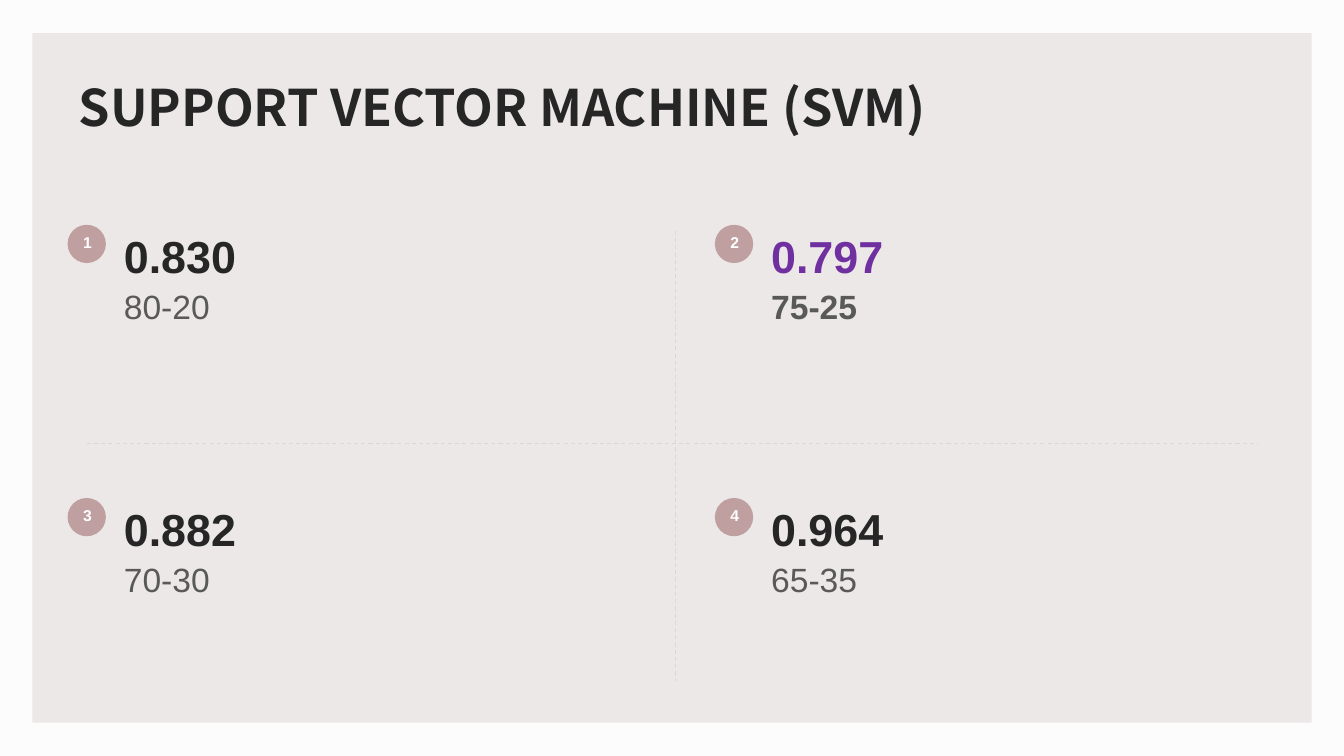
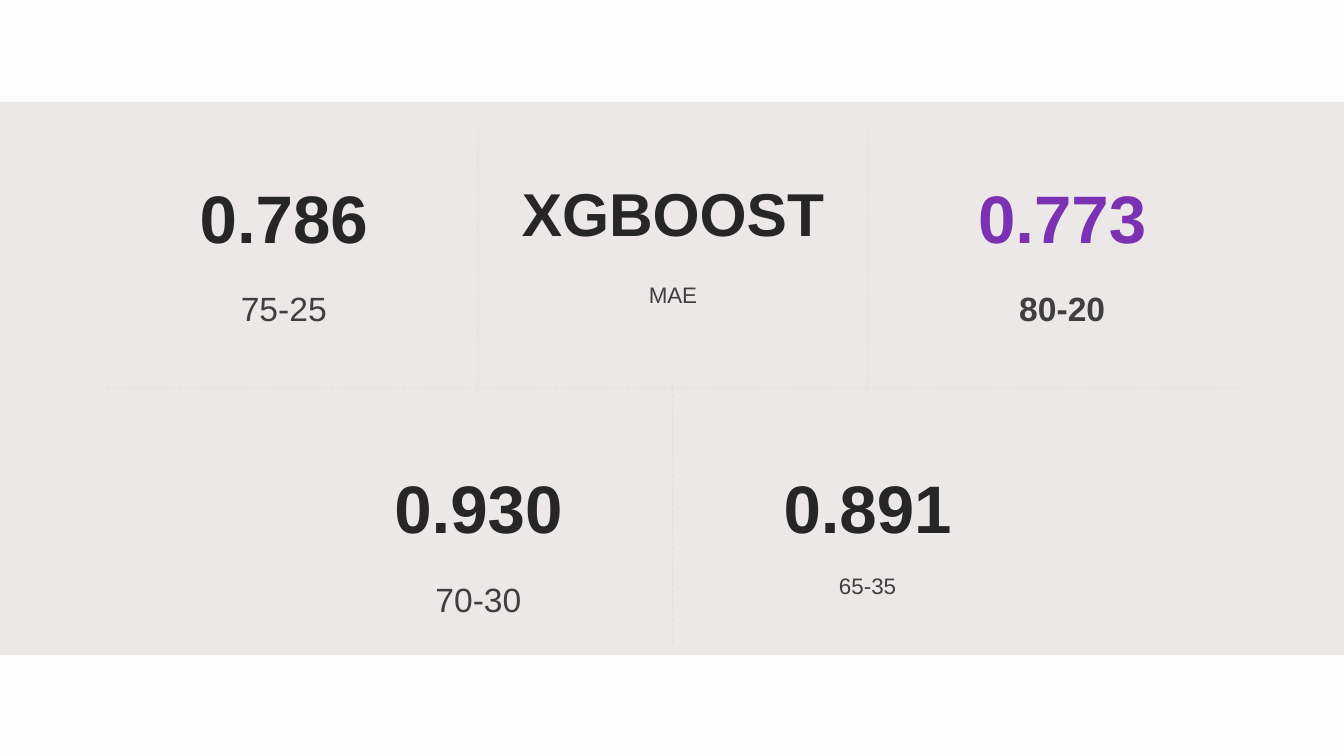
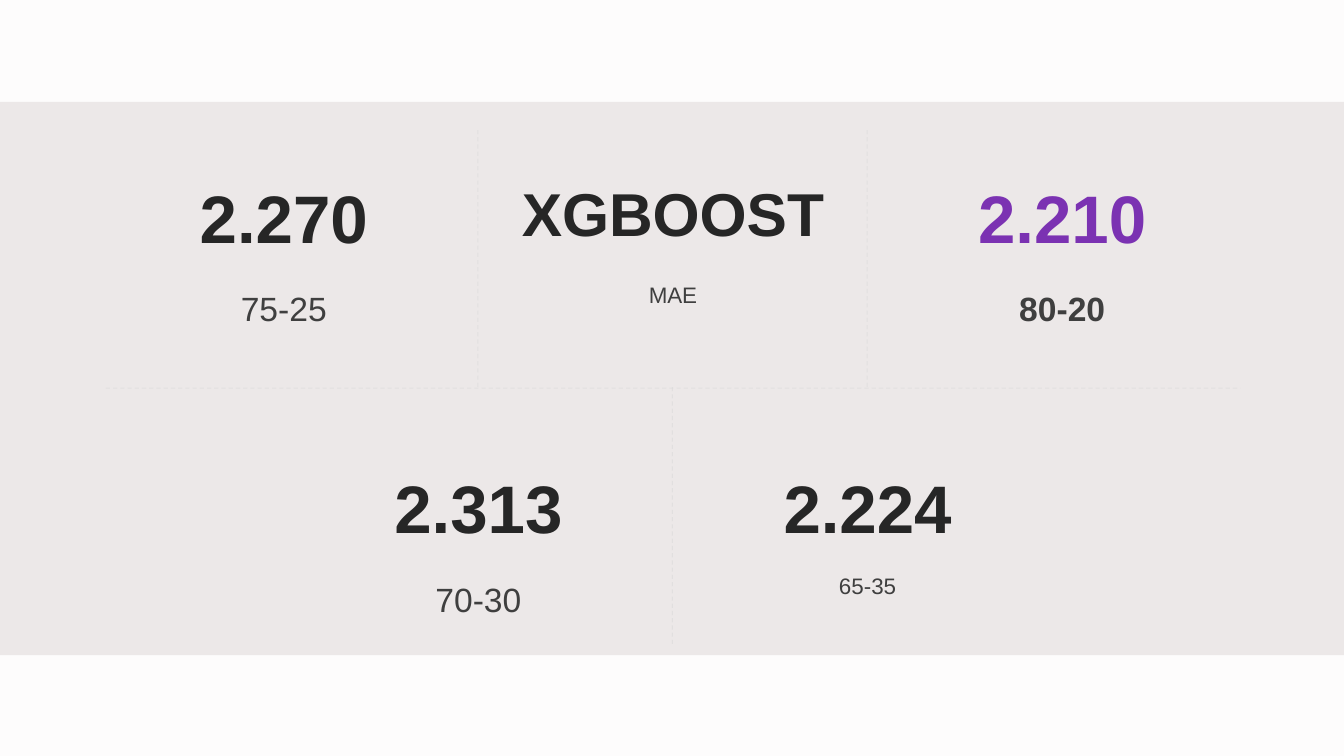
"""Build three slides that compare model errors across train-test splits."""
import pptx
import pptx.dml.color
import pptx.enum.dml
import pptx.enum.shapes
import pptx.enum.text
import pptx.oxml.ns
import pptx.util
import lxml.etree

Inches = pptx.util.Inches
Shape = pptx.enum.shapes.MSO_SHAPE
Align = pptx.enum.text.PP_ALIGN
Anchor = pptx.enum.text.MSO_ANCHOR


def colour(value):
    return pptx.dml.color.RGBColor.from_string(value)


class SlideBuilder:
    BACKGROUND = "FDFCFC"
    PANEL = "ECE8E8"
    DIVIDER = "D8D8D8"
    BADGE = "BF9F9F"
    WHITE = "FFFFFF"
    INK = "262626"
    BODY_FONT = "Arial"
    TITLE_FONT = "Noto Sans CJK SC"

    def __init__(self):
        self.deck = pptx.Presentation()
        self.deck.slide_width = Inches(13.33)
        self.deck.slide_height = Inches(7.5)
        self.page = None

    def new_page(self, left, top, width, height):
        self.page = self.deck.slides.add_slide(self.deck.slide_layouts[6])
        self.page.background.fill.solid()
        self.page.background.fill.fore_color.rgb = colour(self.BACKGROUND)
        self.shape(Shape.RECTANGLE, left, top, width, height, self.PANEL)

    def shape(self, kind, left, top, width, height, fill):
        shape = self.page.shapes.add_shape(
            kind, Inches(left), Inches(top), Inches(width), Inches(height))
        shape.shadow.inherit = False
        shape.fill.solid()
        shape.fill.fore_color.rgb = colour(fill)
        shape.line.fill.background()
        return shape

    def fill_text(self, box, words, size, ink, bold=False, align=Align.LEFT,
                  spacing=1.0, anchor=Anchor.TOP, font=BODY_FONT):
        frame = box.text_frame
        frame.word_wrap = True
        frame.vertical_anchor = anchor
        para = frame.paragraphs[0]
        para.alignment = align
        para.line_spacing = spacing
        span = para.add_run()
        span.text = words
        span.font.name = font
        span.font.size = pptx.util.Pt(size)
        span.font.bold = bold
        span.font.color.rgb = colour(ink)

    def text(self, shapes, left, top, width, height, words, size, ink, **style):
        box = shapes.add_textbox(Inches(left), Inches(top), Inches(width), Inches(height))
        self.fill_text(box, words, size, ink, **style)
        return box

    def title(self, words):
        box = self.text(self.page.shapes, 0.67, 0.67, 12, 0.77, words, 36, self.INK,
                        bold=True, anchor=Anchor.MIDDLE, font=self.TITLE_FONT)
        frame = box.text_frame
        frame.margin_left, frame.margin_right = Inches(0.11), Inches(0.08)
        frame.margin_top = frame.margin_bottom = Inches(0.04)

    def divider(self, start_x, start_y, end_x, end_y, opacity=100):
        line = self.page.shapes.add_connector(
            pptx.enum.shapes.MSO_CONNECTOR.STRAIGHT,
            Inches(start_x), Inches(start_y), Inches(end_x), Inches(end_y))
        line.line.width = pptx.util.Pt(0.75)
        line.line.color.rgb = colour(self.DIVIDER)
        line.line.dash_style = pptx.enum.dml.MSO_LINE.DASH
        name = pptx.oxml.ns.qn
        properties = line._element.spPr
        if opacity < 100:
            shade = properties.find(".//" + name("a:srgbClr"))
            lxml.etree.SubElement(shade, name("a:alpha")).set("val", str(opacity * 1000))
        lxml.etree.SubElement(properties, name("a:effectLst"))

    def numbered_score(self, left, top, number, score, split, best=False):
        shapes = self.page.shapes
        self.text(shapes, left + 0.46, top + 0.36, 5.11, 1.54, split, 24, "595959",
                  bold=best, spacing=1.5)
        self.text(shapes, left + 0.46, top - 0.01, 5.11, 0.44, score, 32,
                  "7030A0" if best else self.INK, bold=True)
        badge = self.shape(Shape.OVAL, left, top, 0.38, 0.38, self.BADGE)
        self.fill_text(badge, str(number), 11.2, self.WHITE, bold=True,
                       align=Align.CENTER, spacing=0.8, anchor=Anchor.MIDDLE)

    def centred_score(self, left, top, heading, caption, heading_size=48,
                      caption_size=24, best=False):
        shapes = self.page.shapes.add_group_shape().shapes
        self.text(shapes, left, top, 3.57, 0.91, heading, heading_size,
                  "7B32B2" if best else self.INK, bold=True, align=Align.CENTER)
        self.text(shapes, left, top + 0.91, 3.57, 0.5, caption, caption_size, "3F3F3F",
                  bold=best, align=Align.CENTER, spacing=1.5)

    def svm_page(self, title, scores):
        self.new_page(0.32, 0.33, 12.69, 6.84)
        self.divider(0.86, 4.4, 12.47, 4.4)
        self.divider(6.7, 2.29, 6.7, 6.76)
        for index, (score, split, best) in enumerate(scores):
            row, column = divmod(index, 2)
            self.numbered_score(0.67 + 6.42 * column, 2.23 + 2.71 * row,
                                index + 1, score, split, best)
        self.title(title)

    def xgboost_page(self, scores):
        self.new_page(0, 1.01, 13.33, 5.49)
        left, pitch, upper, lower = 1.03, 3.86, 1.7, 4.58
        score_75, score_80, score_70, score_65 = scores
        self.centred_score(left, upper, score_75, "75-25")
        self.centred_score(left + 2 * pitch, upper, score_80, "80-20", best=True)
        self.centred_score(left + pitch, upper, "XGBOOST", "MAE",
                           heading_size=43.2, caption_size=16)
        self.centred_score(left + pitch / 2, lower, score_70, "70-30")
        self.centred_score(left + pitch * 1.5, lower, score_65, "65-35", caption_size=16)
        self.divider(1.05, 3.85, 12.3, 3.85, opacity=50)
        for step, top in ((0, 1.29), (1, 1.29), (0.5, 3.84)):
            across = 4.74 + step * pitch
            self.divider(across, top, across, top + 2.55, opacity=50)


def main():
    builder = SlideBuilder()
    builder.svm_page("SUPPORT VECTOR MACHINE (SVM)", [
        ("0.830", "80-20", False),
        ("0.797", "75-25", True),
        ("0.882", "70-30", False),
        ("0.964", "65-35", False),
    ])
    builder.xgboost_page(["0.786", "0.773", "0.930", "0.891"])
    builder.xgboost_page(["2.270", "2.210", "2.313", "2.224"])
    builder.deck.save("out.pptx")


if __name__ == "__main__":
    main()
